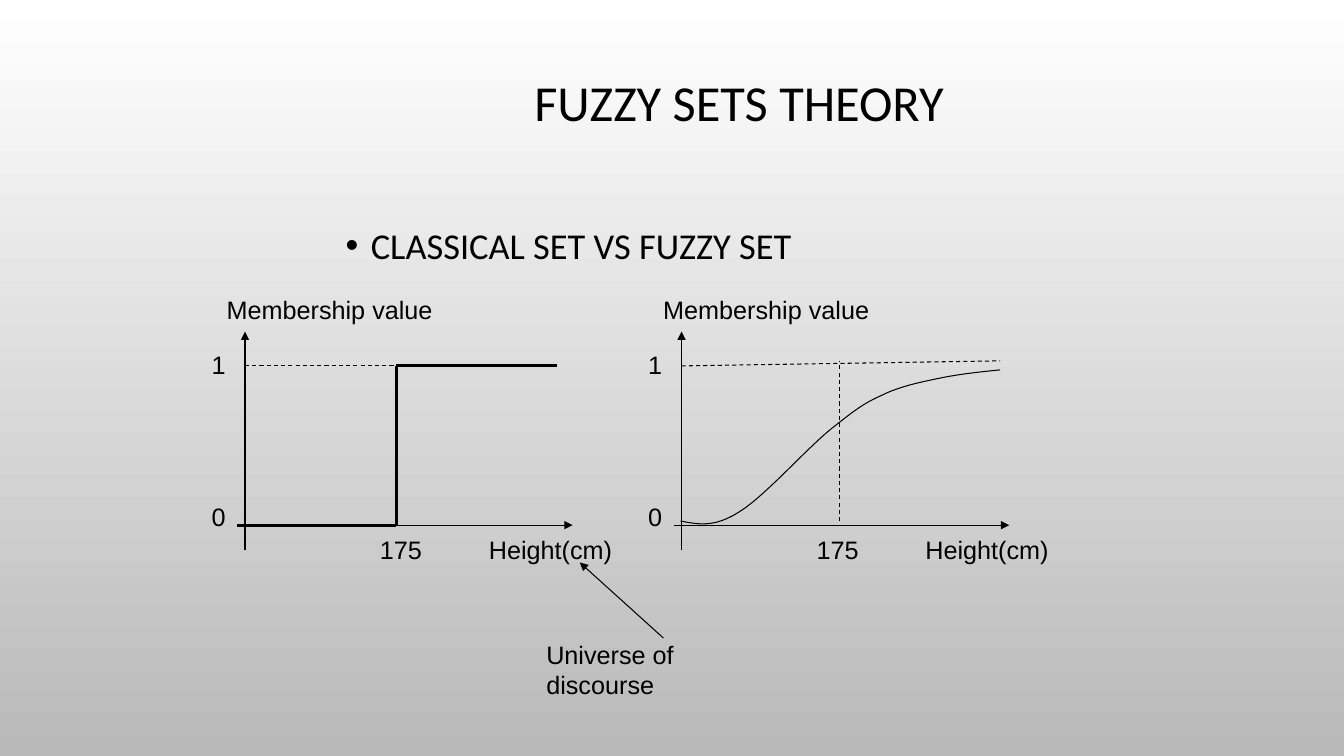
from lxml import etree
from pptx import Presentation
from pptx.dml.color import RGBColor
from pptx.enum import dml, shapes, text
from pptx.oxml import ns
from pptx.util import Inches, Pt

BLACK = RGBColor(0x00, 0x00, 0x00)
WHITE = RGBColor(0xFF, 0xFF, 0xFF)
GREY = RGBColor(0xB9, 0xB9, 0xB9)

# Positions inside a graph, in inches from its top left corner
AXIS_X, AXIS_Y = 0.43, 2.34
ONE_Y = 0.76
STEP_X = 1.93

# Membership curve: start, then (control, control, end) for each piece
CURVE_START = (0.42, 2.30)
CURVE_PIECES = [
    ((0.59, 2.33), (0.75, 2.37), (1.00, 2.21)),
    ((1.25, 2.06), (1.68, 1.57), (1.92, 1.38)),
    ((2.16, 1.19), (2.24, 1.13), (2.42, 1.05)),
    ((2.60, 0.96), (2.81, 0.92), (3.00, 0.88)),
    ((3.20, 0.84), (3.39, 0.82), (3.59, 0.80)),
]
CURVE_STEPS = 12


def format_text(paragraph, size, font_name):
    paragraph.font.size = Pt(size)
    paragraph.font.name = font_name
    paragraph.font.color.rgb = BLACK


def add_label(slide, wording, left, top, width):
    label = slide.shapes.add_textbox(Inches(left), Inches(top), Inches(width), Inches(0.4))
    label.text_frame.word_wrap = False
    label.text_frame.auto_size = text.MSO_AUTO_SIZE.SHAPE_TO_FIT_TEXT
    label.text_frame.text = wording
    format_text(label.text_frame.paragraphs[0], 18, "Arial")


def add_line(slide, start, end, width=0.75, dashed=False, arrow=False):
    line = slide.shapes.add_connector(
        shapes.MSO_CONNECTOR.STRAIGHT, *(Inches(v) for v in (*start, *end)))
    line.line.color.rgb = BLACK
    line.line.width = Pt(width)
    if dashed:
        line.line.dash_style = dml.MSO_LINE.DASH
    if arrow:
        etree.SubElement(line.line._get_or_add_ln(), ns.qn("a:tailEnd"), type="triangle")
    etree.SubElement(line._element.spPr, ns.qn("a:effectLst"))


def add_background(slide):
    fill = slide.background.fill
    fill.gradient()
    fill.gradient_angle = 270
    for stop, position, colour in zip(fill.gradient_stops, (0, 1), (WHITE, GREY)):
        stop.position = position
        stop.color.rgb = colour


def add_heading(slide, left, top, width):
    # Title
    title = slide.shapes.title
    title.left, title.top = Inches(left), Inches(top)
    title.width, title.height = Inches(width), Inches(1.67)
    title.text_frame.text = "FUZZY SETS THEORY"
    title.text_frame.vertical_anchor = text.MSO_ANCHOR.MIDDLE
    heading = title.text_frame.paragraphs[0]
    heading.alignment = text.PP_ALIGN.CENTER
    heading.line_spacing = 0.9
    format_text(heading, 36, "Calibri")

    # Bulleted topic
    topic = slide.shapes.add_textbox(
        Inches(left + 1.11), Inches(top + 1.87), Inches(7.17), Inches(0.75))
    topic.text_frame.word_wrap = True
    topic.text_frame.text = "CLASSICAL SET VS FUZZY SET"
    bullet_line = topic.text_frame.paragraphs[0]
    bullet_line.line_spacing = 1.2
    properties = bullet_line._p.get_or_add_pPr()
    properties.set("marL", str(Inches(0.25)))
    properties.set("indent", str(-Inches(0.25)))
    etree.SubElement(properties, ns.qn("a:buFont"), typeface="Arial")
    etree.SubElement(properties, ns.qn("a:buChar"), char="•")
    format_text(bullet_line, 26, "Calibri")


def add_axes(slide, left, top):
    add_line(slide, (left + 0.35, top + AXIS_Y), (left + 3.68, top + AXIS_Y), arrow=True)
    add_line(slide, (left + AXIS_X, top + 2.59), (left + AXIS_X, top + 0.42), arrow=True)
    for wording, x, y, width in [
        ("Membership value", 0.15, 0, 2.24),
        ("1", 0, 0.55, 0.34),
        ("0", 0, 2.05, 0.34),
        ("175", 1.67, 2.38, 0.62),
        ("Height(cm)", 2.75, 2.38, 1.42),
    ]:
        add_label(slide, wording, left + x, top + y, width)


def add_classical_graph(slide, left, top):
    add_axes(slide, left, top)
    step = [(0.35, AXIS_Y), (STEP_X, AXIS_Y), (STEP_X, ONE_Y), (3.52, ONE_Y)]
    corners = [(left + x, top + y) for x, y in step]
    for start, end in zip(corners, corners[1:]):
        add_line(slide, start, end, width=2.25)
    add_line(slide, (left + AXIS_X, top + ONE_Y), (left + STEP_X, top + ONE_Y), dashed=True)


def curve_points():
    points = [CURVE_START]
    for control_1, control_2, end in CURVE_PIECES:
        start = points[-1]
        for i in range(1, CURVE_STEPS + 1):
            t = i / CURVE_STEPS
            weights = ((1 - t) ** 3, 3 * t * (1 - t) ** 2, 3 * t ** 2 * (1 - t), t ** 3)
            corners = (start, control_1, control_2, end)
            points.append(tuple(
                sum(w * corner[axis] for w, corner in zip(weights, corners))
                for axis in (0, 1)))
    return points


def add_fuzzy_graph(slide, left, top):
    add_axes(slide, left, top)
    add_line(slide, (left + AXIS_X, top + ONE_Y), (left + 3.59, top + 0.71), dashed=True)
    add_line(slide, (left + 2, top + 2.30), (left + 2, top + 0.71), dashed=True)

    # Smooth membership function
    points = [(Inches(left + x), Inches(top + y)) for x, y in curve_points()]
    builder = slide.shapes.build_freeform(*points[0])
    builder.add_line_segments(points[1:], close=False)
    curve = builder.convert_to_shape()
    curve.shadow.inherit = False
    curve.fill.background()
    curve.line.color.rgb = BLACK
    curve.line.width = Pt(0.75)


def add_universe_note(slide, left, top):
    add_label(slide, "Universe of discourse", left, top, 2.6)
    add_line(slide, (left + 1.26, top + 0.04), (left + 0.43, top - 0.71), arrow=True)


def main():
    presentation = Presentation()
    presentation.slide_width, presentation.slide_height = Inches(13.33), Inches(7.5)
    slide = presentation.slides.add_slide(presentation.slide_layouts[5])
    add_background(slide)
    add_heading(slide, 2.22, 0.21, 10.22)
    add_classical_graph(slide, 2, 2.87)
    add_fuzzy_graph(slide, 6.33, 2.87)
    add_universe_note(slide, 5.32, 6.29)
    presentation.save("out.pptx")


if __name__ == "__main__":
    main()
